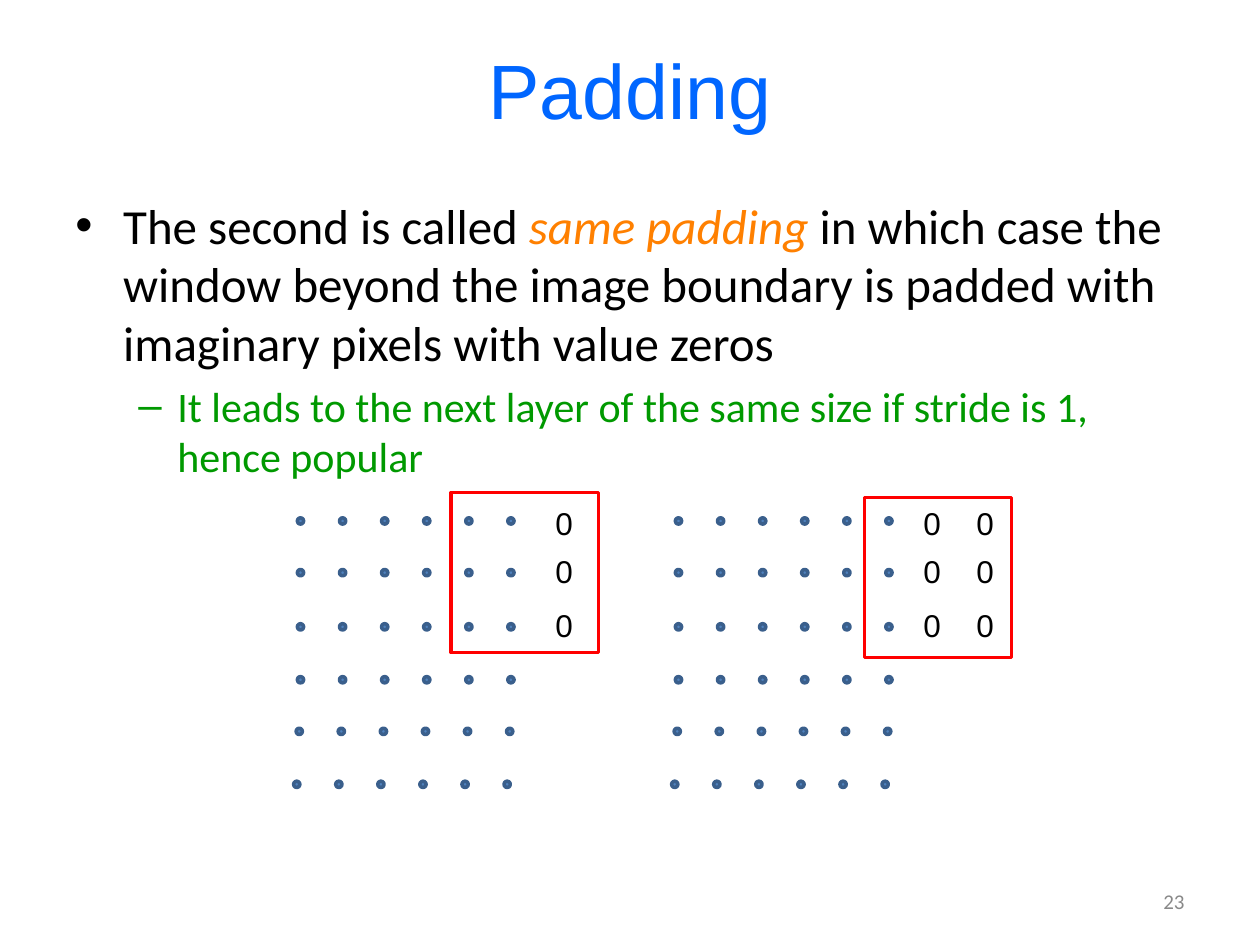
from itertools import product

from lxml.etree import SubElement
from pptx import Presentation
from pptx.dml.color import RGBColor
from pptx.enum.shapes import MSO_SHAPE as Shape
from pptx.enum.text import MSO_ANCHOR as Anchor, MSO_AUTO_SIZE as AutoSize, PP_ALIGN as Align
from pptx.oxml.ns import qn
from pptx.util import Inches, Pt


def color(value):
    return RGBColor.from_string(value)


def apply(target, values):
    for name, value in values.items():
        setattr(target, name, value)


class SlideBuilder:
    dot_size = 0.05
    line_width = Pt(2)
    dot_fill = "4F81BD"
    dot_line = "3A5F8C"
    window_line = "FF0000"

    def __init__(self, slide):
        self.slide = slide

    def run(self, paragraph, text, size, font="Calibri", fill="000000", **extra):
        run = paragraph.add_run()
        run.text = text
        apply(run.font, {"size": Pt(size), "name": font, **extra})
        run.font.color.rgb = color(fill)

    def title(self, text, left, top, width, height):
        title = self.slide.shapes.title
        apply(title, {"left": Inches(left), "top": Inches(top),
                      "width": Inches(width), "height": Inches(height)})
        title.text_frame.vertical_anchor = Anchor.MIDDLE
        paragraph = title.text_frame.paragraphs[0]
        paragraph.alignment = Align.CENTER
        self.run(paragraph, text, 44, "Arial", "0066FF")

    def text_frame(self, left, top, width, height, **values):
        box = self.slide.shapes.add_textbox(Inches(left), Inches(top), Inches(width), Inches(height))
        apply(box.text_frame, {"word_wrap": True, **values})
        return box.text_frame

    def bullet(self, paragraph, symbol, margin, hanging):
        properties = paragraph._p.get_or_add_pPr()
        properties.set("marL", str(Inches(margin)))
        properties.set("indent", str(-Inches(hanging)))
        SubElement(properties, qn("a:buFont"), typeface="Arial")
        SubElement(properties, qn("a:buChar"), char=symbol)

    def shape(self, kind, left, top, width, height, line, fill=None):
        shape = self.slide.shapes.add_shape(
            kind, Inches(left), Inches(top), Inches(width), Inches(height))
        shape.shadow.inherit = False
        if fill:
            shape.fill.solid()
            shape.fill.fore_color.rgb = color(fill)
        else:
            shape.fill.background()
        shape.line.color.rgb = color(line)
        shape.line.width = self.line_width

    def dot(self, left, top):
        self.shape(Shape.OVAL, left, top, self.dot_size, self.dot_size, self.dot_line, self.dot_fill)

    def window(self, left, top):
        self.shape(Shape.RECTANGLE, left, top, 1.17, 1.27, self.window_line)

    def zero(self, left, top):
        frame = self.text_frame(left, top, 0.34, 0.4, word_wrap=False,
                                auto_size=AutoSize.SHAPE_TO_FIT_TEXT)
        self.run(frame.paragraphs[0], "0", 18, "Arial")


def main():
    presentation = Presentation()
    apply(presentation, {"slide_width": Inches(10), "slide_height": Inches(7.5)})
    slide = presentation.slides.add_slide(presentation.slide_layouts[5])
    builder = SlideBuilder(slide)

    builder.title("Padding", 0.5, 0.08, 9, 1.25)

    body = builder.text_frame(0.5, 1.5, 9, 5.67)
    main_point = body.paragraphs[0]
    builder.bullet(main_point, "•", 0.38, 0.38)
    builder.run(main_point, "The second is called ", 28)
    builder.run(main_point, "same padding ", 28, fill="FF8000", italic=True)
    builder.run(main_point, "in which case the window beyond the image boundary "
                            "is padded with imaginary pixels with value zeros", 28)
    sub_point = body.add_paragraph()
    sub_point.level = 1
    sub_point.space_before = Pt(4.8)
    builder.bullet(sub_point, "–", 0.81, 0.31)
    builder.run(sub_point, "It leads to the next layer of the same size if stride is 1, "
                           "hence popular", 24, fill="009900")

    number = builder.text_frame(7.17, 6.95, 2.33, 0.4, vertical_anchor=Anchor.MIDDLE)
    number.paragraphs[0].alignment = Align.RIGHT
    builder.run(number.paragraphs[0], "23", 12, fill="898989")

    column_gap = 1.67 / 5
    dot_rows = [(0.03, 4.11), (0.03, 4.52), (0.03, 4.95), (0.03, 5.37), (0.02, 5.78), (0, 6.2)]
    zero_tops = [3.95, 4.33, 4.76]
    panels = [
        (2.33, (3.58, 3.91), [4.31]),
        (5.33, (6.86, 3.95), [7.23, 7.65]),
    ]
    for grid_left, window_corner, zero_lefts in panels:
        for column, (shift, top) in product(range(6), dot_rows):
            builder.dot(grid_left + shift + column * column_gap, top)
        builder.window(*window_corner)
        for left, top in product(zero_lefts, zero_tops):
            builder.zero(left, top)

    presentation.save("out.pptx")


if __name__ == "__main__":
    main()
